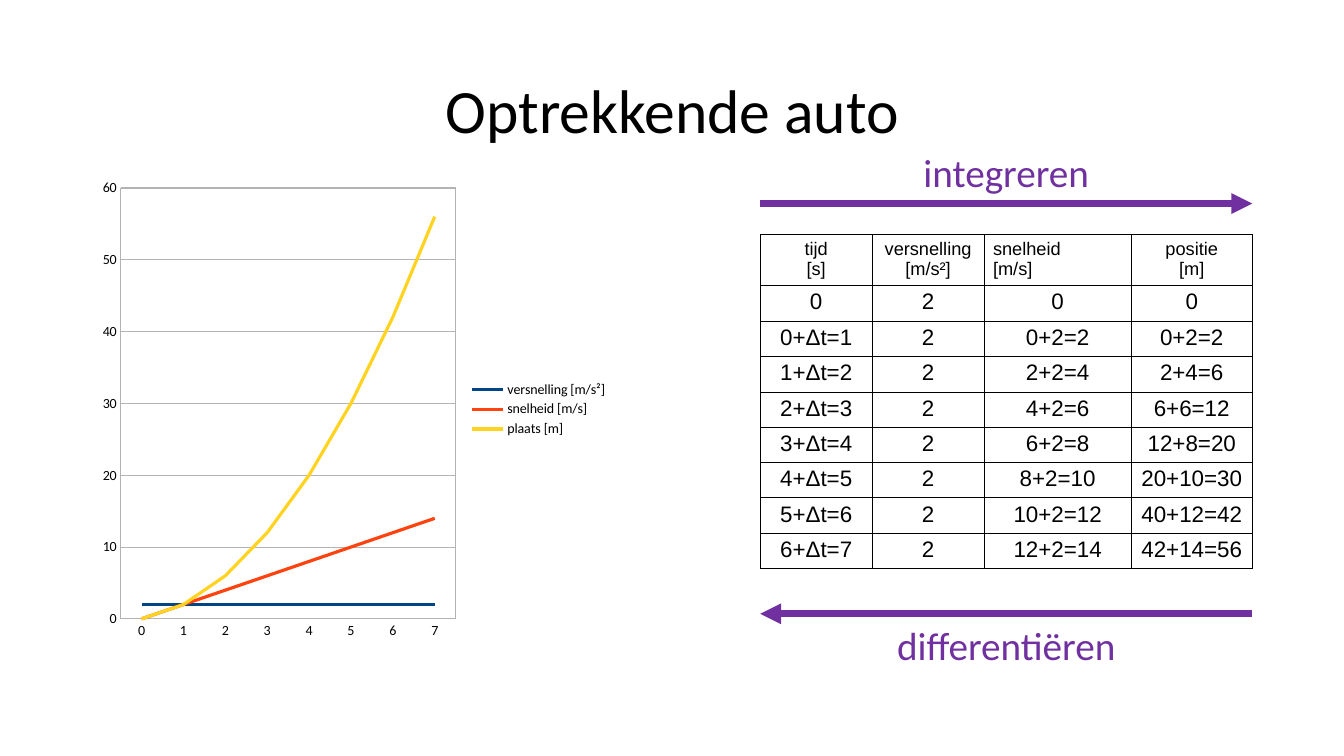
from dataclasses import dataclass

from pptx import Presentation
from pptx.chart.data import CategoryChartData
from pptx.dml.color import RGBColor
from pptx.enum.chart import XL_CHART_TYPE, XL_LEGEND_POSITION, XL_TICK_MARK
from pptx.enum.shapes import MSO_CONNECTOR
from pptx.enum.text import MSO_ANCHOR, PP_ALIGN
from pptx.oxml import parse_xml
from pptx.oxml.ns import nsdecls, qn
from pptx.util import Inches, Pt

LEFT, CENTER = PP_ALIGN.LEFT, PP_ALIGN.CENTER
MIDDLE, TOP = MSO_ANCHOR.MIDDLE, MSO_ANCHOR.TOP
NO_TICK = XL_TICK_MARK.NONE


@dataclass(frozen=True)
class Theme:
    """Colours, fonts and type sizes of the slide."""
    black: str = "000000"
    purple: str = "7030A0"
    grey: str = "B3B3B3"
    lines: tuple = ("004586", "FF420E", "FFD320")
    sans: str = "Calibri"
    grid: str = "Arial"
    title: int = 44
    label: int = 28
    body: int = 16
    head: int = 13
    chart: int = 10


@dataclass(frozen=True)
class Label:
    """A line of text with its box."""
    text: str
    box: tuple
    size: int
    color: str
    anchor: MSO_ANCHOR = TOP
    wrap: bool = False


@dataclass(frozen=True)
class Arrow:
    """A level arrow from start to end."""
    start: float
    end: float
    y: float


THEME = Theme()
EDGES = (7.54, 12.42)
LABELS = (
    Label("Optrekkende auto", (0.92, 0.4, 11.5, 1.45), THEME.title,
          THEME.black, MIDDLE, True),
    Label("integreren", (9.05, 1.42, 1.86, 0.57), THEME.label, THEME.purple),
    Label("differentiëren", (8.78, 6.11, 2.4, 0.57), THEME.label, THEME.purple),
)
ARROWS = (Arrow(*EDGES, 2.02), Arrow(*EDGES[::-1], 6.09))
HEADS = ("tijd\n[s]", "versnelling\n[m/s²]", "snelheid\n[m/s]", "positie\n[m]")
NAMES = ("versnelling [m/s²]", "snelheid [m/s]", "plaats [m]")
WIDTHS = (1.11, 1.11, 1.46, 1.2)
HEIGHTS = (0.5, 0.36) + (0.35,) * 7
TIMES = range(8)
ACCEL = 2
SPEEDS = [ACCEL * t for t in TIMES]
PLACES = [sum(SPEEDS[:t + 1]) for t in TIMES]
SHOWN = {5: 40}  # the slide shows 40 as the start of the sixth step


def set_font(font, size: int, color: str, name: str) -> None:
    """Set size, colour and face of a font."""
    font.size, font.name = Pt(size), name
    font.color.rgb = RGBColor.from_string(color)


def set_line(line, color: str, width: float) -> None:
    """Set colour and width of a line."""
    line.color.rgb = RGBColor.from_string(color)
    line.width = Pt(width)


def add_label(slide, label: Label) -> None:
    """Draw a centred line of text."""
    frame = slide.shapes.add_textbox(*map(Inches, label.box)).text_frame
    frame.word_wrap, frame.vertical_anchor = label.wrap, label.anchor
    para = frame.paragraphs[0]
    para.text, para.alignment = label.text, CENTER
    if label.wrap:
        para.line_spacing = 0.9
    set_font(para.font, label.size, label.color, THEME.sans)


def add_arrow(slide, arrow: Arrow) -> None:
    """Draw a thick arrow without shadow."""
    y = Inches(arrow.y)
    link = slide.shapes.add_connector(
        MSO_CONNECTOR.STRAIGHT, Inches(arrow.start), y, Inches(arrow.end), y)
    set_line(link.line, THEME.purple, 5)
    link.line._get_or_add_ln().append(
        parse_xml(f'<a:tailEnd {nsdecls("a")} type="triangle"/>'))
    link._element.spPr.append(parse_xml(f'<a:effectLst {nsdecls("a")}/>'))


def fill_cell(cell, text: str, size: int, align: PP_ALIGN) -> None:
    """Write a cell and give it thin black borders."""
    cell.text = text
    cell.margin_left = cell.margin_right = Inches(0.09)
    cell.margin_top = cell.margin_bottom = Inches(0.04)
    for para in cell.text_frame.paragraphs:
        para.alignment = align
        set_font(para.font, size, THEME.black, THEME.grid)
    props = cell._tc.get_or_add_tcPr()
    for side in "LRTB":
        props.append(parse_xml(
            f'<a:ln{side} {nsdecls("a")} w="9525"><a:solidFill>'
            f'<a:srgbClr val="{THEME.black}"/></a:solidFill></a:ln{side}>'))
    cell.fill.background()


def make_rows() -> list:
    """Work out the table text, one step in time per row."""
    rows = [HEADS, ("0", str(ACCEL), "0", "0")]
    for t in TIMES[:-1]:
        speed, place = SPEEDS[t + 1], PLACES[t + 1]
        rows.append((f"{t}+Δt={t + 1}", str(ACCEL),
                     f"{SPEEDS[t]}+{ACCEL}={speed}",
                     f"{SHOWN.get(t, PLACES[t])}+{speed}={place}"))
    return rows


def add_steps(slide) -> None:
    """Draw the table of time steps."""
    rows = make_rows()
    table = slide.shapes.add_table(
        len(rows), len(HEADS), Inches(EDGES[0]), Inches(2.33),
        Inches(sum(WIDTHS)), Inches(sum(HEIGHTS))).table
    table.first_row = table.horz_banding = False
    for col, width in zip(table.columns, WIDTHS):
        col.width = Inches(width)
    for r, texts in enumerate(rows):
        table.rows[r].height = Inches(HEIGHTS[r])
        size = THEME.body if r else THEME.head
        for c, text in enumerate(texts):
            align = LEFT if (r, c) == (0, 2) else CENTER
            fill_cell(table.cell(r, c), text, size, align)


def set_plot(chart) -> None:
    """Place the plot area and frame it in grey."""
    area = chart._chartSpace.chart.plotArea
    for old in area.findall(qn("c:layout")):
        area.remove(old)
    spots = "".join(f'<c:{key} val="{val}"/>' for key, val in (
        ("layoutTarget", "inner"), ("xMode", "edge"), ("yMode", "edge"),
        ("x", 0.053), ("y", 0.037), ("w", 0.638), ("h", 0.902)))
    area.insert(0, parse_xml(
        f'<c:layout {nsdecls("c")}><c:manualLayout>{spots}'
        '</c:manualLayout></c:layout>'))
    area.append(parse_xml(
        f'<c:spPr {nsdecls("c", "a")}><a:noFill/><a:ln w="9525"><a:solidFill>'
        f'<a:srgbClr val="{THEME.grey}"/></a:solidFill></a:ln></c:spPr>'))


def add_graph(slide) -> None:
    """Draw the line chart of the motion."""
    data = CategoryChartData()
    data.categories = [str(t) for t in TIMES]
    for name, vals in zip(NAMES, ([ACCEL] * len(TIMES), SPEEDS, PLACES)):
        data.add_series(name, vals)
    box = map(Inches, (0.92, 1.69, 5.21, 4.74))
    chart = slide.shapes.add_chart(XL_CHART_TYPE.LINE, *box, data).chart
    set_font(chart.font, THEME.chart, THEME.black, THEME.sans)
    chart.has_title, chart.has_legend = False, True
    chart.legend.position = XL_LEGEND_POSITION.RIGHT
    chart.legend.include_in_layout = False
    chart.plots[0].vary_by_categories = False
    for line, color in zip(chart.plots[0].series, THEME.lines):
        line.smooth = False
        set_line(line.format.line, color, 2.27)
    for axis in (chart.category_axis, chart.value_axis):
        axis.major_tick_mark = axis.minor_tick_mark = NO_TICK
        set_line(axis.format.line, THEME.grey, 0.75)
    axis = chart.value_axis
    axis.minimum_scale, axis.maximum_scale, axis.major_unit = 0, 60, 10
    set_line(axis.major_gridlines.format.line, THEME.grey, 0.75)
    set_plot(chart)


def main() -> None:
    """Build and save the slide."""
    deck = Presentation()
    deck.slide_width, deck.slide_height = Inches(13.33), Inches(7.5)
    slide = deck.slides.add_slide(deck.slide_layouts[6])
    add_graph(slide)
    add_steps(slide)
    for arrow in ARROWS:
        add_arrow(slide, arrow)
    for label in LABELS:
        add_label(slide, label)
    deck.save("out.pptx")


main()
